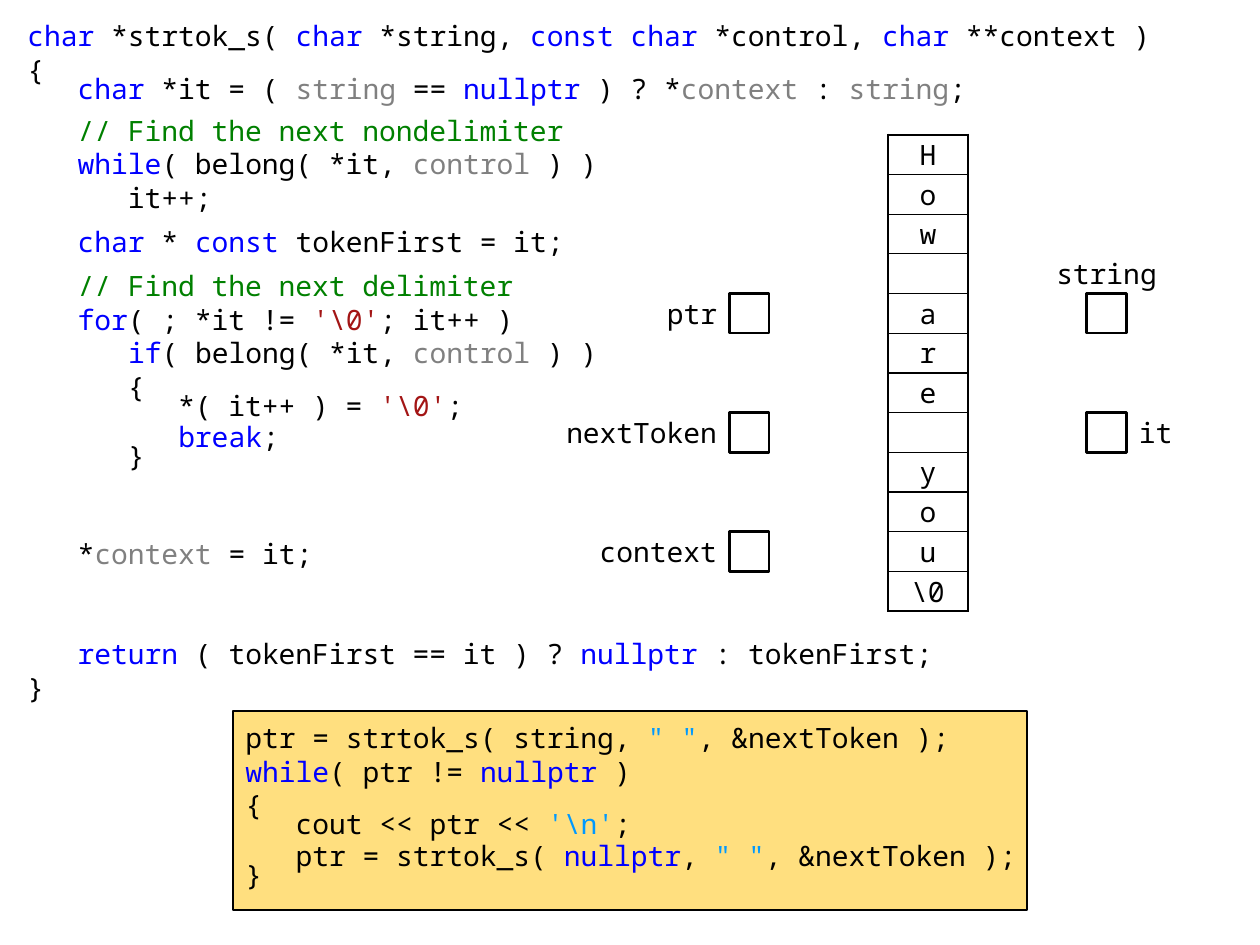
from dataclasses import dataclass
from functools import partial
from typing import NamedTuple, Optional

from lxml.etree import SubElement
from pptx import Presentation
from pptx.dml.color import RGBColor
from pptx.enum.shapes import MSO_SHAPE as Shape
from pptx.enum.text import MSO_ANCHOR as Anchor, PP_ALIGN as Align
from pptx.oxml.ns import qn
from pptx.util import Pt

BLACK = RGBColor(0x00, 0x00, 0x00)
WHITE = RGBColor(0xFF, 0xFF, 0xFF)
BLUE = RGBColor(0x00, 0x00, 0xFF)
GRAY = RGBColor(0x80, 0x80, 0x80)
GREEN = RGBColor(0x00, 0x80, 0x00)
RED = RGBColor(0xA3, 0x15, 0x15)
SKY = RGBColor(0x00, 0x99, 0xFF)
AMBER = RGBColor(0xFF, 0xC0, 0x00)

FONT = "Noto Sans Mono"
FONT_SIZE = 16
UNIT = 22.68
TABLE_LEFT, TABLE_TOP = 507.6, 77.04
LETTERS = ["H", "o", "w", "", "a", "r", "e", "", "y", "o", "u", "\\0"]


class Span(NamedTuple):
    text: str
    color: RGBColor = BLACK


@dataclass
class Line:
    spans: list
    spacing: float = 1.0
    before: float = 0
    after: float = 0


@dataclass
class Pointer:
    name: str
    column: float
    row: int
    label_column: float
    label_row: int
    label_width: float
    align: Align
    side_inset: float = 7.2
    fill: Optional[RGBColor] = None


key = partial(Span, color=BLUE)
param = partial(Span, color=GRAY)
note = partial(Span, color=GREEN)
char = partial(Span, color=RED)
literal = partial(Span, color=SKY)

FUNCTION = [
    Line([key("char"), " *strtok_s( ", key("char"), " *string, ", key("const char"),
          " *control, ", key("char"), " **context )"]),
    Line(["{"]),
    Line(["   ", key("char"), " *it = ( ", param("string"), " == ", key("nullptr"), " ) ? *",
          param("context"), " : ", param("string"), ";"], spacing=0.5),
    Line(["   ", note("// Find the next nondelimiter")], before=6),
    Line(["   ", key("while"), "( belong( *it, ", param("control"), " ) )"]),
    Line(["      it++;"]),
    Line(["   ", key("char"), " * ", key("const "), "tokenFirst = it;"], before=6, after=6),
    Line(["   ", note("// Find the next delimiter")]),
    Line(["   ", key("for"), "( ; *it != ", char("'\\0'"), "; it++ )"]),
    Line(["      ", key("if"), "( belong( *it, ", param("control"), " ) )"]),
    Line(["      {"]),
    Line(["         *( it++ ) = ", char("'\\0'"), ";"], spacing=0.5),
    Line(["         ", key("break"), ";"]),
    Line(["      }"], spacing=0.5),
    Line(["   *", param("context"), " = it;"], before=38),
    Line(["   ", key("return"), " ( tokenFirst == it ) ? ", key("nullptr"), " : tokenFirst;"],
         before=38),
    Line(["}"]),
]

USAGE = [
    Line(["ptr = strtok_s( string, ", literal('" "'), ", &nextToken );"]),
    Line([key("while"), "( ptr != ", key("nullptr"), " )"]),
    Line(["{"]),
    Line(["   cout << ptr << ", literal("'\\n'"), ";"], spacing=0.5),
    Line(["   ptr = strtok_s( ", key("nullptr"), ", ", literal('" "'), ", &nextToken );"]),
    Line(["}"], spacing=0.5),
]

POINTERS = [
    Pointer("it", 5, 7, 6, 7, 1.5, Align.LEFT),
    Pointer("nextToken", -4, 7, -8.5, 7, 4.5, Align.RIGHT),
    Pointer("string", 5, 4, 4, 3, 3, Align.CENTER, side_inset=2.88),
    Pointer("ptr", -4, 4, -6, 4, 2, Align.RIGHT, fill=WHITE),
    Pointer("context", -4, 10, -8, 10, 4, Align.RIGHT),
]


def write(para, text: str, *, color=BLACK, size=FONT_SIZE, font=FONT) -> None:
    span = para.add_run()
    span.text = text
    span.font.name = font
    span.font.size = Pt(size)
    span.font.color.rgb = color


def set_frame(frame, side: float, edge: float, anchor, wrap: bool) -> None:
    frame.margin_left = frame.margin_right = Pt(side)
    frame.margin_top = frame.margin_bottom = Pt(edge)
    frame.vertical_anchor = anchor
    frame.word_wrap = wrap


def write_code(frame, lines: list) -> None:
    for index, line in enumerate(lines):
        para = frame.add_paragraph() if index else frame.paragraphs[0]
        para.alignment = Align.LEFT
        para.line_spacing = line.spacing
        para.space_before = Pt(line.before)
        para.space_after = Pt(line.after)
        for span in line.spans:
            span = Span(span) if isinstance(span, str) else span
            write(para, span.text, color=span.color)


def add_box(page, left: float, top: float, width: float, height: float,
            fill: Optional[RGBColor], line_width: float):
    box = page.shapes.add_shape(Shape.RECTANGLE, Pt(left), Pt(top), Pt(width), Pt(height))
    box.shadow.inherit = False
    box.line.color.rgb = BLACK
    box.line.width = Pt(line_width)
    if fill is None:
        box.fill.background()
    else:
        box.fill.solid()
        box.fill.fore_color.rgb = fill
        color = box.fill._xPr.find(qn("a:solidFill"))[0]
        SubElement(color, qn("a:alpha"), val="50000")
    return box


def add_pointer(page, pointer: Pointer) -> None:
    label = page.shapes.add_textbox(
        Pt(TABLE_LEFT + pointer.label_column * UNIT), Pt(TABLE_TOP + pointer.label_row * UNIT),
        Pt(pointer.label_width * UNIT), Pt(UNIT))
    set_frame(label.text_frame, pointer.side_inset, 0, Anchor.MIDDLE, False)
    para = label.text_frame.paragraphs[0]
    para.alignment = pointer.align
    write(para, pointer.name)
    add_box(page, TABLE_LEFT + pointer.column * UNIT, TABLE_TOP + pointer.row * UNIT,
            UNIT, UNIT, pointer.fill, 1.5)


def set_border(cell, side: str, width: float, position: int) -> None:
    props = cell._tc.get_or_add_tcPr()
    border = SubElement(props, qn(f"a:{side}"), w=str(Pt(width)))
    fill = SubElement(border, qn("a:solidFill"))
    SubElement(fill, qn("a:srgbClr"), val=str(BLACK))
    props.insert(position, border)


def add_letters(page) -> None:
    rows = len(LETTERS)
    table = page.shapes.add_table(rows, 1, Pt(TABLE_LEFT), Pt(TABLE_TOP),
                                  Pt(2 * UNIT), Pt(rows * UNIT)).table
    table.first_row = table.horz_banding = False
    for index, letter in enumerate(LETTERS):
        table.rows[index].height = Pt(UNIT)
        cell = table.cell(index, 0)
        cell.margin_top = cell.margin_bottom = 0
        cell.vertical_anchor = Anchor.MIDDLE
        cell.fill.background()
        para = cell.text_frame.paragraphs[0]
        para.alignment = Align.CENTER
        write(para, letter)
        top = 1.5 if index == 0 else 0.75
        bottom = 1.5 if index == rows - 1 else 0.75
        borders = [("lnL", 1.5), ("lnR", 1.5), ("lnT", top), ("lnB", bottom)]
        for position, (side, width) in enumerate(borders):
            set_border(cell, side, width, position)


def main() -> None:
    deck = Presentation()
    deck.slide_width, deck.slide_height = Pt(720), Pt(540)
    page = deck.slides.add_slide(deck.slide_layouts[6])
    function = page.shapes.add_textbox(Pt(8.64), Pt(9.36), Pt(657.36), Pt(396.72))
    set_frame(function.text_frame, 7.2, 1.44, Anchor.TOP, False)
    write_code(function.text_frame, FUNCTION)
    add_letters(page)
    for pointer in POINTERS:
        add_pointer(page, pointer)
    usage = add_box(page, 133.2, 406.08, 453.6, 113.76, AMBER, 1)
    set_frame(usage.text_frame, 7.2, 5.76, Anchor.TOP, False)
    write_code(usage.text_frame, USAGE)
    deck.save("out.pptx")


if __name__ == "__main__":
    main()
